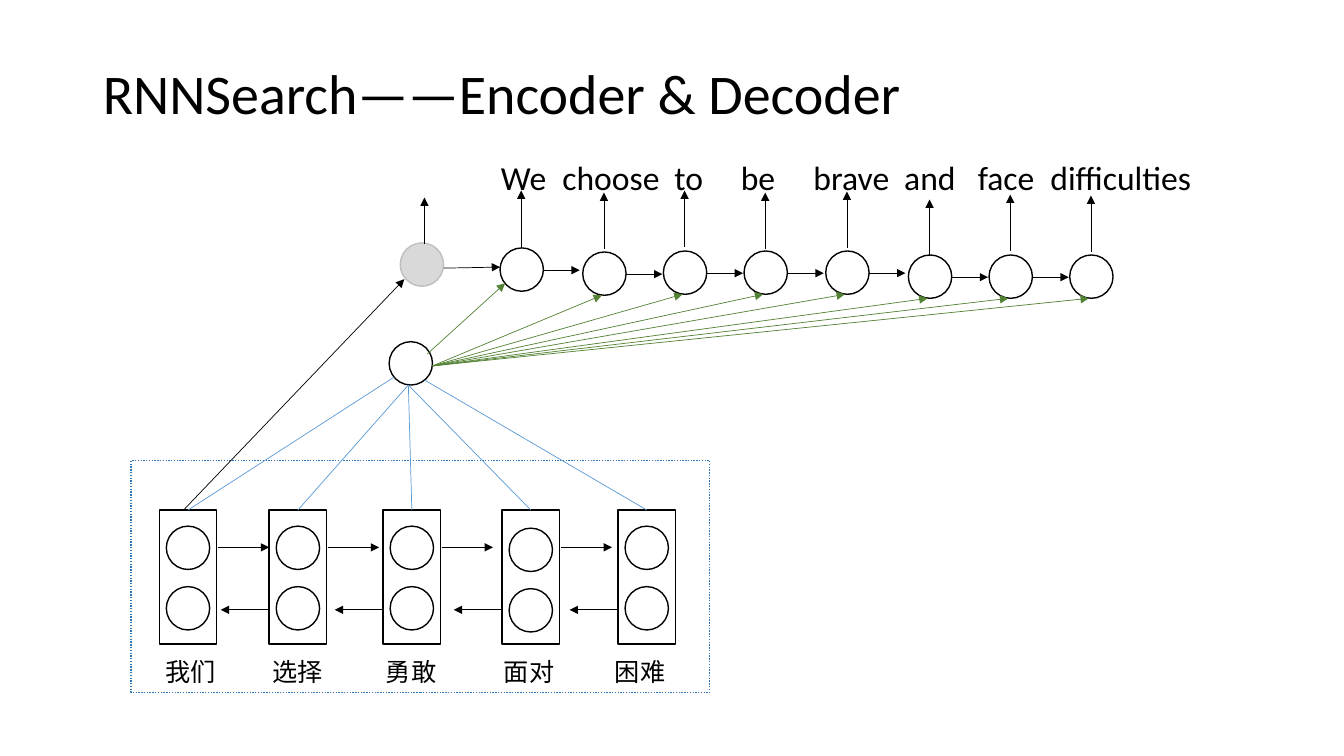
from dataclasses import dataclass

import pptx
import pptx.dml.color
import pptx.enum.dml
import pptx.enum.shapes
import pptx.enum.text
import pptx.oxml.ns
import pptx.util
from lxml import etree

Inches = pptx.util.Inches
Pt = pptx.util.Pt
SHAPES = pptx.enum.shapes.MSO_SHAPE
FONT = "Calibri"
COLORS = {
    "ink": "000000",
    "frame": "2E75B6",
    "annotation": "5B9BD5",
    "context": "548235",
    "start_fill": "D9D9D9",
    "start_line": "BFBFBF",
}
NODE = 0.43
CELL_WIDTH, CELL_HEIGHT = 0.57, 1.33

# (word, tab position in the text, node left, node top, arrow foot)
DECODER_STEPS = [
    ("We", 0, 0.99, 0.95, 0.94),
    ("choose", 0.61, 1.81, 0.99, 0.96),
    ("to", 1.72, 2.61, 0.98, 0.94),
    ("be", 2.38, 3.41, 0.98, 0.96),
    ("brave", 3.1, 4.22, 0.98, 0.95),
    ("and", 4, 5.04, 1.02, 1.03),
    ("face", 4.73, 5.84, 1.02, 0.98),
    ("difficulties", 5.45, 6.64, 1.02, 0.99),
]
# (word, tab position in the text, cell left, drop of the nodes)
ENCODER_STEPS = [
    ("我们", 0, 0.28, 0),
    ("选择", 1.06, 1.37, 0),
    ("勇敢", 2.19, 2.5, 0),
    ("面对", 3.36, 3.68, 0.02),
    ("困难", 4.46, 4.83, 0),
]


@dataclass
class Box:
    left: float
    top: float
    width: float
    height: float

    def at(self, x, y):
        """Turn an offset inside the box into a point on the slide."""
        return self.left + x, self.top + y


def rgb(name):
    return pptx.dml.color.RGBColor.from_string(COLORS[name])


def add_outline(slide, kind, corner, width, height, line="ink", fill=None):
    shape = slide.shapes.add_shape(kind, *map(Inches, (*corner, width, height)))
    shape.shadow.inherit = False
    shape.line.color.rgb = rgb(line)
    shape.line.width = Pt(1)
    if fill:
        shape.fill.solid()
        shape.fill.fore_color.rgb = rgb(fill)
    else:
        shape.fill.background()
    return shape


def add_node(slide, corner, **colors):
    return add_outline(slide, SHAPES.OVAL, corner, NODE, NODE, **colors)


def add_link(slide, start, end, color="ink", arrow=True):
    link = slide.shapes.add_connector(
        pptx.enum.shapes.MSO_CONNECTOR.STRAIGHT, *map(Inches, (*start, *end)))
    link.line.color.rgb = rgb(color)
    link.line.width = Pt(0.5)
    if arrow:
        etree.SubElement(link.line._get_or_add_ln(),
                         pptx.oxml.ns.qn("a:tailEnd"), type="triangle")
    etree.SubElement(link._element.spPr, pptx.oxml.ns.qn("a:effectLst"))
    return link


def add_words(slide, box, steps, size):
    """Write the words of the steps on one line, each at its tab stop."""
    text_box = slide.shapes.add_textbox(
        *map(Inches, (box.left, box.top, box.width, box.height)))
    text_box.text_frame.word_wrap = True
    paragraph = text_box.text_frame.paragraphs[0]
    paragraph.text = "\t".join(step[0] for step in steps)
    tabs = etree.SubElement(paragraph._p.get_or_add_pPr(),
                            pptx.oxml.ns.qn("a:tabLst"))
    for step in steps[1:]:
        etree.SubElement(tabs, pptx.oxml.ns.qn("a:tab"),
                         pos=str(int(Inches(step[1]))), algn="l")
    for run in paragraph.runs:
        run.font.size = Pt(size)
        run.font.name = FONT
        run.font.color.rgb = rgb("ink")


def add_title(slide, box, text):
    title = slide.shapes.title
    title.left, title.top, title.width, title.height = map(
        Inches, (box.left, box.top, box.width, box.height))
    frame = title.text_frame
    frame.text = text
    frame.auto_size = pptx.enum.text.MSO_AUTO_SIZE.NONE
    frame.vertical_anchor = pptx.enum.text.MSO_ANCHOR.MIDDLE
    paragraph = frame.paragraphs[0]
    paragraph.alignment = pptx.enum.text.PP_ALIGN.LEFT
    paragraph.line_spacing = 0.9
    font = paragraph.runs[0].font
    font.size = Pt(40)
    font.name = FONT
    font.color.rgb = rgb("ink")


def add_encoder(slide, box):
    """Draw the bidirectional encoder and return its cells."""
    frame = add_outline(slide, SHAPES.RECTANGLE, box.at(0, 0),
                        box.width, box.height, "frame")
    frame.line.dash_style = pptx.enum.dml.MSO_LINE.ROUND_DOT
    add_words(slide, Box(*box.at(0.24, 1.89), 5.33, 0.4), ENCODER_STEPS, 18)
    cells = []
    for index, (_, _, left, drop) in enumerate(ENCODER_STEPS):
        for top in (0.65, 1.25):
            add_node(slide, box.at(left + 0.07, top + drop))
        cells.append(add_outline(slide, SHAPES.RECTANGLE, box.at(left, 0.49),
                                 CELL_WIDTH, CELL_HEIGHT))
        if index < len(ENCODER_STEPS) - 1:
            add_link(slide, box.at(left + 0.58, 0.86), box.at(left + 1.09, 0.86))
        if index > 0:
            add_link(slide, box.at(left, 1.48), box.at(left - 0.48, 1.48))
    return cells


def add_decoder(slide, box):
    """Draw the start node and the decoder; return the node corners."""
    add_words(slide, Box(*box.at(0.9, 0), 7.26, 0.5), DECODER_STEPS, 24)
    add_node(slide, box.at(0, 0.9), line="start_line", fill="start_fill")
    add_link(slide, box.at(0.24, 0.91), box.at(0.24, 0.45))
    add_link(slide, box.at(NODE, 1.15), box.at(0.99, 1.14))
    corners = []
    for index, (_, _, left, top, foot) in enumerate(DECODER_STEPS):
        add_node(slide, box.at(left, top))
        add_link(slide, box.at(left + 0.21, foot), box.at(left + 0.21, foot - 0.56))
        if index < len(DECODER_STEPS) - 1:
            add_link(slide, box.at(left + NODE, top + 0.22),
                     box.at(left + NODE + 0.36, top + 0.22))
        corners.append(box.at(left, top))
    return corners


def add_context(slide, box, cells, corners):
    """Draw the context node with its links to the cells and decoder nodes."""
    add_node(slide, box.at(0, 0))
    bottom = (0.19, NODE)
    for cell, start in zip(cells, [(0.05, 0.35), bottom, bottom, bottom, (0.35, 0.38)]):
        link = add_link(slide, box.at(*start), box.at(*start), "annotation", arrow=False)
        link.end_connect(cell, 0)
    first_left, first_top = corners[0]
    add_link(slide, box.at(0.38, 0.12), (first_left + 0.05, first_top + 0.35), "context")
    for left, top in corners[1:]:
        add_link(slide, box.at(NODE, 0.24), (left + 0.19, top + NODE), "context")


def main():
    presentation = pptx.Presentation()
    presentation.slide_width = Inches(13.33)
    presentation.slide_height = Inches(7.5)
    slide = presentation.slides.add_slide(presentation.slide_layouts[5])
    encoder_box = Box(1.3, 4.57, 5.74, 2.3)
    decoder_box = Box(3.97, 1.51, 8.16, 1.45)
    add_title(slide, Box(0.92, 0.4, 11.5, 1.11), "RNNSearch——Encoder & Decoder")
    cells = add_encoder(slide, encoder_box)
    corners = add_decoder(slide, decoder_box)
    add_context(slide, Box(3.86, 3.39, NODE, NODE), cells, corners)
    add_link(slide, encoder_box.at(0.53, 0.48), decoder_box.at(0.04, 1.26))
    presentation.save("out.pptx")


if __name__ == "__main__":
    main()
